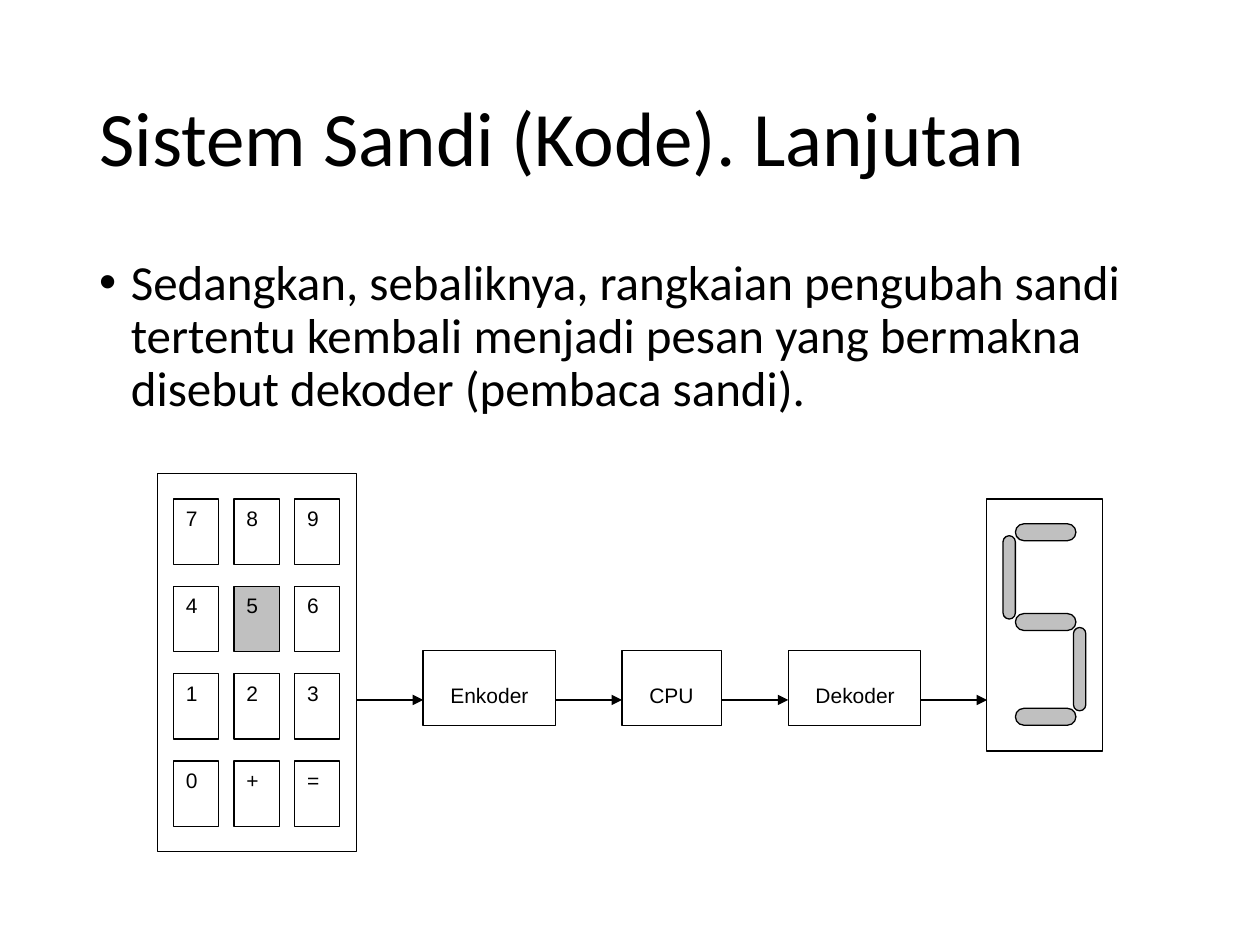
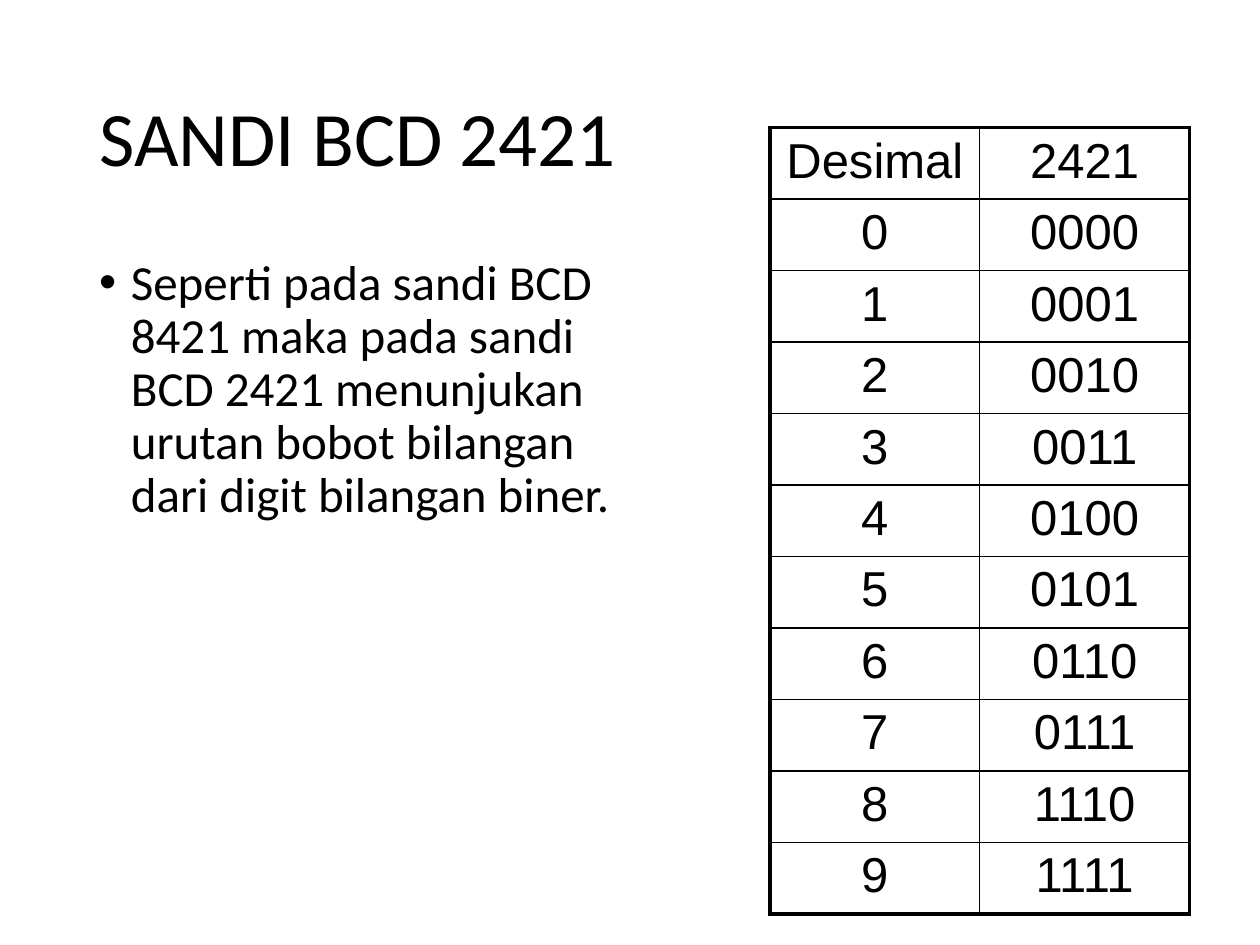
from dataclasses import dataclass
from itertools import product

from lxml.etree import SubElement
from pptx import Presentation
from pptx.dml.color import RGBColor
from pptx.enum.shapes import MSO_CONNECTOR, MSO_SHAPE
from pptx.enum.text import MSO_ANCHOR, PP_ALIGN
from pptx.oxml import parse_xml
from pptx.oxml.ns import nsdecls, qn
from pptx.util import Cm, Pt


@dataclass(frozen=True)
class Theme:
    ink: str = "000000"
    paper: str = "FFFFFF"
    active: str = "C0C0C0"
    text_font: str = "Calibri"
    figure_font: str = "Arial"
    title_size: float = 44
    body_size: float = 28
    label_size: float = 12
    thin: float = 0.75
    grid: float = 1
    frame: float = 2.25


def write(box, text, *, font, size, color, align=PP_ALIGN.LEFT,
          anchor=MSO_ANCHOR.TOP, spacing=None, insets=(0.25, 0.13, 0.25, 0.13)):
    """Fill a text frame with one formatted paragraph; insets are in cm."""
    box.word_wrap = True
    box.vertical_anchor = anchor
    box.margin_left, box.margin_top, box.margin_right, box.margin_bottom = map(Cm, insets)
    para = box.paragraphs[0]
    para.alignment = align
    para.line_spacing = spacing
    span = para.add_run()
    span.text = text
    span.font.name = font
    span.font.size = Pt(size)
    span.font.color.rgb = RGBColor.from_string(color)
    return para


class Builder:
    def __init__(self, deck, theme):
        self.deck = deck
        self.theme = theme
        self.page = None

    def new_page(self, title):
        self.page = self.deck.slides.add_slide(self.deck.slide_layouts[5])
        heading = self.page.shapes.title
        heading.left, heading.top = Cm(1.75), Cm(1.02)
        heading.width, heading.height = Cm(21.9), Cm(3.68)
        write(heading.text_frame, title, font=self.theme.text_font,
              size=self.theme.title_size, color=self.theme.ink,
              anchor=MSO_ANCHOR.MIDDLE, spacing=0.9)

    def bullet(self, text, width):
        box = self.page.shapes.add_textbox(Cm(1.75), Cm(5.08), Cm(width), Cm(12.09))
        para = write(box.text_frame, text, font=self.theme.text_font,
                     size=self.theme.body_size, color=self.theme.ink, spacing=0.9)
        para.space_before = Pt(10)
        properties = para._p.get_or_add_pPr()
        properties.set("marL", str(Cm(0.64)))
        properties.set("indent", str(-Cm(0.64)))
        SubElement(properties, qn("a:buFont")).set("typeface", "Arial")
        SubElement(properties, qn("a:buChar")).set("char", "•")

    def shape(self, kind, left, top, width, height, fill=None):
        shape = self.page.shapes.add_shape(kind, Cm(left), Cm(top), Cm(width), Cm(height))
        shape.shadow.inherit = False
        if fill:
            shape.fill.solid()
            shape.fill.fore_color.rgb = RGBColor.from_string(fill)
        else:
            shape.fill.background()
        shape.line.color.rgb = RGBColor.from_string(self.theme.ink)
        shape.line.width = Pt(self.theme.thin)
        return shape

    def label_box(self, text, left, top, width, height, insets, fill):
        shape = self.shape(MSO_SHAPE.RECTANGLE, left, top, width, height, fill)
        write(shape.text_frame, text, font=self.theme.figure_font,
              size=self.theme.label_size, color=self.theme.ink, insets=insets)

    def segment(self, left, top, width, height):
        pill = self.shape(MSO_SHAPE.ROUNDED_RECTANGLE, left, top, width, height,
                          self.theme.active)
        pill.adjustments[0] = 0.5

    def arrow(self, left, right, level):
        arrow = self.page.shapes.add_connector(
            MSO_CONNECTOR.STRAIGHT, Cm(left), Cm(level), Cm(right), Cm(level))
        arrow.line.color.rgb = RGBColor.from_string(self.theme.ink)
        arrow.line.width = Pt(self.theme.thin)
        SubElement(arrow.line._get_or_add_ln(), qn("a:tailEnd")).set("type", "triangle")
        SubElement(arrow._element.spPr, qn("a:effectLst"))

    def border(self, cell, side, position, weight):
        line = parse_xml(
            f'<a:ln{side} {nsdecls("a")} w="{Pt(weight)}"><a:solidFill>'
            f'<a:srgbClr val="{self.theme.ink}"/></a:solidFill></a:ln{side}>')
        cell._tc.get_or_add_tcPr().insert(position, line)

    def table(self, rows, left, top, column_width, row_height):
        row_count, column_count = len(rows), len(rows[0])
        table = self.page.shapes.add_table(
            row_count, column_count, Cm(left), Cm(top),
            Cm(column_width * column_count), Cm(row_height * row_count)).table
        table.first_row = table.horz_banding = False
        for column in table.columns:
            column.width = Cm(column_width)
        for row in table.rows:
            row.height = Cm(row_height)
        for r, c in product(range(row_count), range(column_count)):
            cell = table.cell(r, c)
            write(cell.text_frame, rows[r][c], font=self.theme.figure_font,
                  size=self.theme.body_size, color=self.theme.ink, align=PP_ALIGN.CENTER)
            cell.fill.background()
            # Heavy line on the outer edge, thin lines inside
            outer = {"L": c == 0, "R": c == column_count - 1,
                     "T": r == 0, "B": r == row_count - 1}
            for position, (side, is_outer) in enumerate(outer.items()):
                self.border(cell, side, position,
                            self.theme.frame if is_outer else self.theme.grid)


def coding_page(builder):
    theme = builder.theme
    builder.new_page("Sistem Sandi (Kode). Lanjutan")
    builder.bullet("Sedangkan, sebaliknya, rangkaian pengubah sandi tertentu kembali "
                   "menjadi pesan yang bermakna disebut dekoder (pembaca sandi).", 21.9)

    # Keypad
    builder.shape(MSO_SHAPE.RECTANGLE, 3.18, 9.55, 4.01, 7.62)
    for row, keys in enumerate(("789", "456", "123", "0+=")):
        for column, key in enumerate(keys):
            builder.label_box(key, 3.5 + 1.22 * column, 10.06 + 1.76 * row, 0.91, 1.32,
                              insets=(0.25, 0.13, 0, 0),
                              fill=theme.active if key == "5" else theme.paper)

    # Processing chain from keypad to display
    gap, level, edge = 1.34, 14.11, 7.19
    for name, width in (("Enkoder", 2.67), ("CPU", 2.01), ("Dekoder", 2.67)):
        builder.arrow(edge, edge + gap, level)
        builder.label_box(name, edge + gap, 13.11, width, 1.52,
                          insets=(0.55, 0.65, 0, 0), fill=theme.paper)
        edge += gap + width
    builder.arrow(edge, edge + gap, level)

    # Seven-segment display showing 5
    builder.shape(MSO_SHAPE.RECTANGLE, 19.89, 10.06, 2.34, 5.08)
    for top in (10.56, 12.37, 14.28):
        builder.segment(20.47, top, 1.22, 0.34)
    for left, top in ((20.22, 10.8), (21.64, 12.65)):
        builder.segment(left, top, 0.25, 1.68)


def bcd_page(builder):
    builder.new_page("SANDI BCD 2421")
    builder.bullet("Seperti pada sandi BCD 8421 maka pada sandi BCD 2421 menunjukan "
                   "urutan bobot bilangan dari digit bilangan biner.", 11.76)
    codes = ("0000", "0001", "0010", "0011", "0100",
             "0101", "0110", "0111", "1110", "1111")
    rows = [("Desimal", "2421")] + [(str(digit), code) for digit, code in enumerate(codes)]
    builder.table(rows, 15.52, 2.57, 4.23, 1.44)


def main():
    deck = Presentation()
    deck.slide_width, deck.slide_height = Cm(25.4), Cm(19.05)
    builder = Builder(deck, Theme())
    coding_page(builder)
    bcd_page(builder)
    deck.save("out.pptx")


if __name__ == "__main__":
    main()
